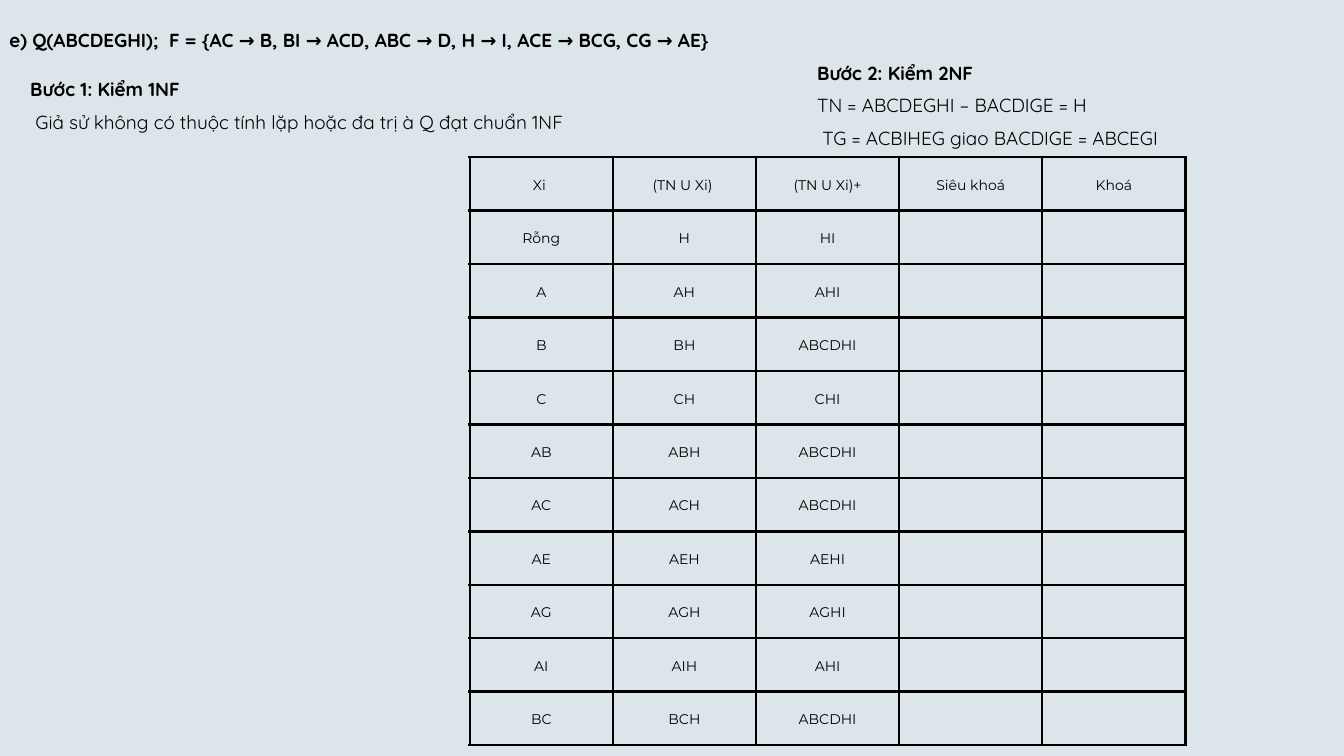
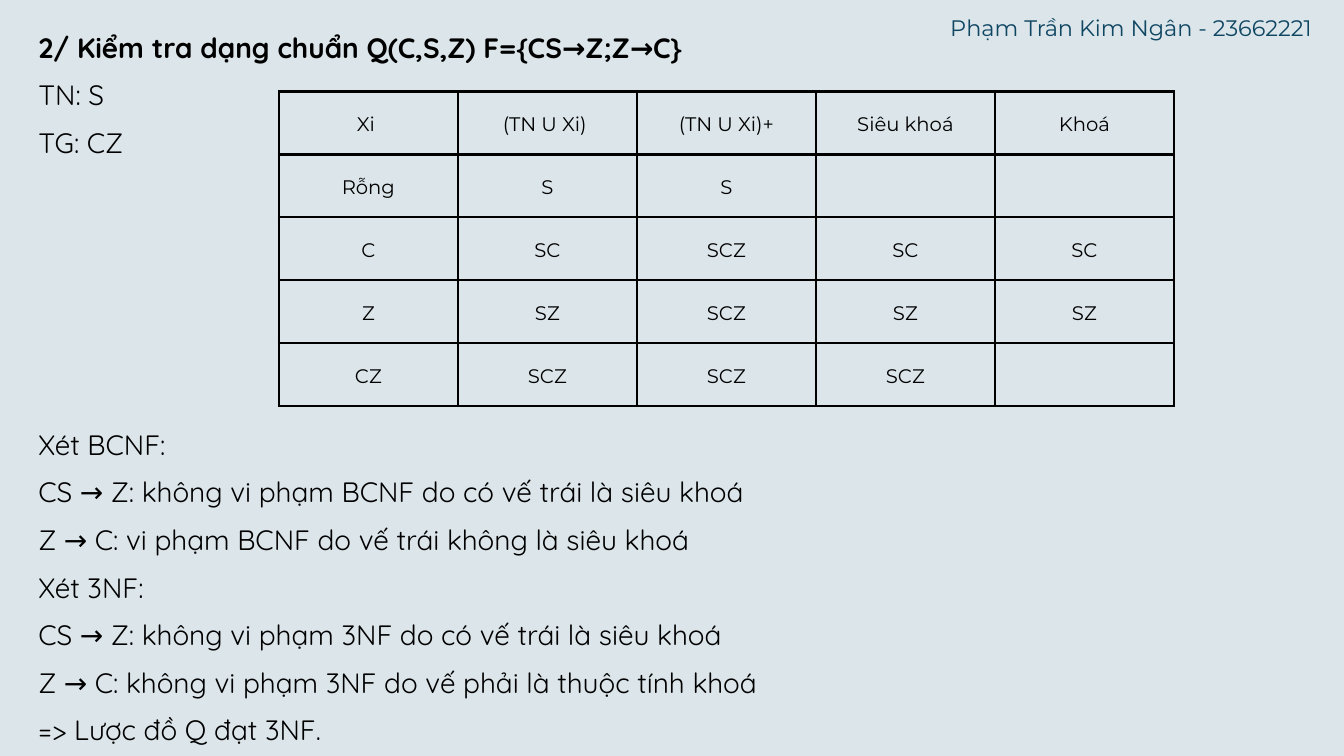
from dataclasses import dataclass

from lxml import etree
from pptx import Presentation
from pptx.dml.color import RGBColor
from pptx.enum.text import MSO_ANCHOR, PP_ALIGN
from pptx.oxml.ns import qn
from pptx.util import Inches, Pt

CENTER = PP_ALIGN.CENTER
LEFT = PP_ALIGN.LEFT
MIDDLE = MSO_ANCHOR.MIDDLE
BLANK_LAYOUT = 6
WIDTH, HEIGHT = Inches(20), Inches(11.25)


@dataclass(frozen=True)
class TextStyle:
    font: str
    size: float
    leading: float
    color: str = "000000"


@dataclass(frozen=True)
class Theme:
    background: str = "DBE5EA"
    border: str = "000000"
    border_width: float = 3
    cell_margin: float = 0.21
    small_text: TextStyle = TextStyle("Quicksand", 20.3, 34.5)
    large_text: TextStyle = TextStyle("Quicksand", 30, 51)
    small_cell: TextStyle = TextStyle("Montserrat", 15, 21)
    large_cell: TextStyle = TextStyle("Montserrat", 21, 29.4)
    author: TextStyle = TextStyle("Montserrat", 24, 33.6, "0F4662")


THEME = Theme()
KEY_HEADER = ["Xi ", "(TN U Xi) ", "(TN U Xi)+", "Siêu khoá", "Khoá"]
AUTHOR = "Phạm Trần Kim Ngân - 23662221"

SCHEMA_KEYS = [
    ["Rỗng", "H", "HI"],
    ["A", "AH", "AHI"],
    ["B", "BH", "ABCDHI"],
    ["C", "CH", "CHI"],
    ["AB", "ABH", "ABCDHI"],
    ["AC", "ACH", "ABCDHI"],
    ["AE", "AEH", "AEHI"],
    ["AG", "AGH", "AGHI"],
    ["AI", "AIH", "AHI"],
    ["BC", "BCH", "ABCDHI"],
]
CSZ_KEYS = [
    ["Rỗng", "S", "S"],
    ["C", "SC", "SCZ", "SC", "SC"],
    ["Z", "SZ", "SCZ", "SZ", "SZ"],
    ["CZ", "SCZ", "SCZ", "SCZ"],
]
CONCLUSION = [
    "Xét BCNF:",
    "CS → Z: không vi phạm BCNF do có vế trái là siêu khoá",
    "Z → C: vi phạm BCNF do vế trái không là siêu khoá",
    "Xét 3NF:",
    "CS → Z: không vi phạm 3NF do có vế trái là siêu khoá",
    "Z → C: không vi phạm 3NF do vế phải là thuộc tính khoá",
    "=> Lược đồ Q đạt 3NF.",
]


def place(left, top, width, height):
    """Turn percentages of the slide's width and height into lengths."""
    return (int(WIDTH * left / 100), int(HEIGHT * top / 100),
            int(WIDTH * width / 100), int(HEIGHT * height / 100))


def add_slide(presentation):
    slide = presentation.slides.add_slide(presentation.slide_layouts[BLANK_LAYOUT])
    fill = slide.background.fill
    fill.solid()
    fill.fore_color.rgb = RGBColor.from_string(THEME.background)
    return slide


def write_line(paragraph, text, style, bold=False, alignment=LEFT):
    paragraph.alignment = alignment
    paragraph.line_spacing = Pt(style.leading)
    run = paragraph.add_run()
    run.text = text
    run.font.name = style.font
    run.font.size = Pt(style.size)
    run.font.bold = bold
    run.font.color.rgb = RGBColor.from_string(style.color)


def add_text(slide, area, style, lines, heading=None):
    """Add a text box: an optional bold heading, then plain lines."""
    frame = slide.shapes.add_textbox(*place(*area)).text_frame
    frame.word_wrap = True
    frame.margin_left = frame.margin_right = 0
    frame.margin_top = frame.margin_bottom = 0
    content = [(heading, True)] if heading else []
    content += [(line, False) for line in lines]
    for index, (text, bold) in enumerate(content):
        paragraph = frame.add_paragraph() if index else frame.paragraphs[0]
        write_line(paragraph, text, style, bold)


def add_borders(cell):
    properties = cell._tc.get_or_add_tcPr()
    for side in ("lnL", "lnR", "lnT", "lnB"):
        line = etree.SubElement(properties, qn(f"a:{side}"), w=str(Pt(THEME.border_width)))
        fill = etree.SubElement(line, qn("a:solidFill"))
        etree.SubElement(fill, qn("a:srgbClr"), val=THEME.border)


def add_key_table(slide, area, style, rows):
    """Add the table that searches for keys; short rows end in empty cells."""
    rows = [KEY_HEADER, *rows]
    left, top, width, height = place(*area)
    table = slide.shapes.add_table(
        len(rows), len(KEY_HEADER), left, top, width, height).table
    table.first_row = table.horz_banding = False
    for column in table.columns:
        column.width = width // len(KEY_HEADER)
    for row, texts in zip(table.rows, rows):
        row.height = height // len(rows)
        for index, cell in enumerate(row.cells):
            add_borders(cell)
            cell.fill.background()
            cell.vertical_anchor = MIDDLE
            margin = Inches(THEME.cell_margin)
            cell.margin_left = cell.margin_right = margin
            cell.margin_top = cell.margin_bottom = margin
            paragraph = cell.text_frame.paragraphs[0]
            if index < len(texts):
                write_line(paragraph, texts[index], style, alignment=CENTER)
            else:
                paragraph.font.size = Pt(style.size)


def build_schema_slide(presentation):
    slide = add_slide(presentation)
    add_text(slide, (0.7, 2.49, 53.45, 3.91), THEME.small_text, [],
             "e) Q(ABCDEGHI);  F = {AC → B, BI → ACD, ABC → D, H → I, "
             "ACE → BCG, CG → AE}")
    add_text(slide, (2.25, 9.07, 39.9, 8.18), THEME.small_text,
             [" Giả sử không có thuộc tính lặp hoặc đa trị à Q đạt chuẩn 1NF"],
             "Bước 1: Kiểm 1NF")
    add_text(slide, (60.8, 6.93, 25.6, 12.44), THEME.small_text,
             ["TN = ABCDEGHI – BACDIGE = H",
              " TG = ACBIHEG giao BACDIGE = ABCEGI"],
             "Bước 2: Kiểm 2NF")
    add_key_table(slide, (34.95, 20.8, 53.25, 77.78), THEME.small_cell, SCHEMA_KEYS)


def build_csz_slide(presentation):
    slide = add_slide(presentation)
    add_text(slide, (2.85, 54.67, 55.85, 42.93), THEME.large_text, CONCLUSION)
    add_key_table(slide, (20.75, 12.09, 66.6, 41.6), THEME.large_cell, CSZ_KEYS)
    add_text(slide, (70.7, 1.33, 27.85, 3.82), THEME.author, [AUTHOR])
    add_text(slide, (2.85, 2.13, 86.55, 24.36), THEME.large_text,
             ["TN: S", "TG: CZ"],
             "2/ Kiểm tra dạng chuẩn Q(C,S,Z) F={CS→Z;Z→C}")


def main():
    presentation = Presentation()
    presentation.slide_width, presentation.slide_height = WIDTH, HEIGHT
    build_schema_slide(presentation)
    build_csz_slide(presentation)
    presentation.save("out.pptx")


if __name__ == "__main__":
    main()
